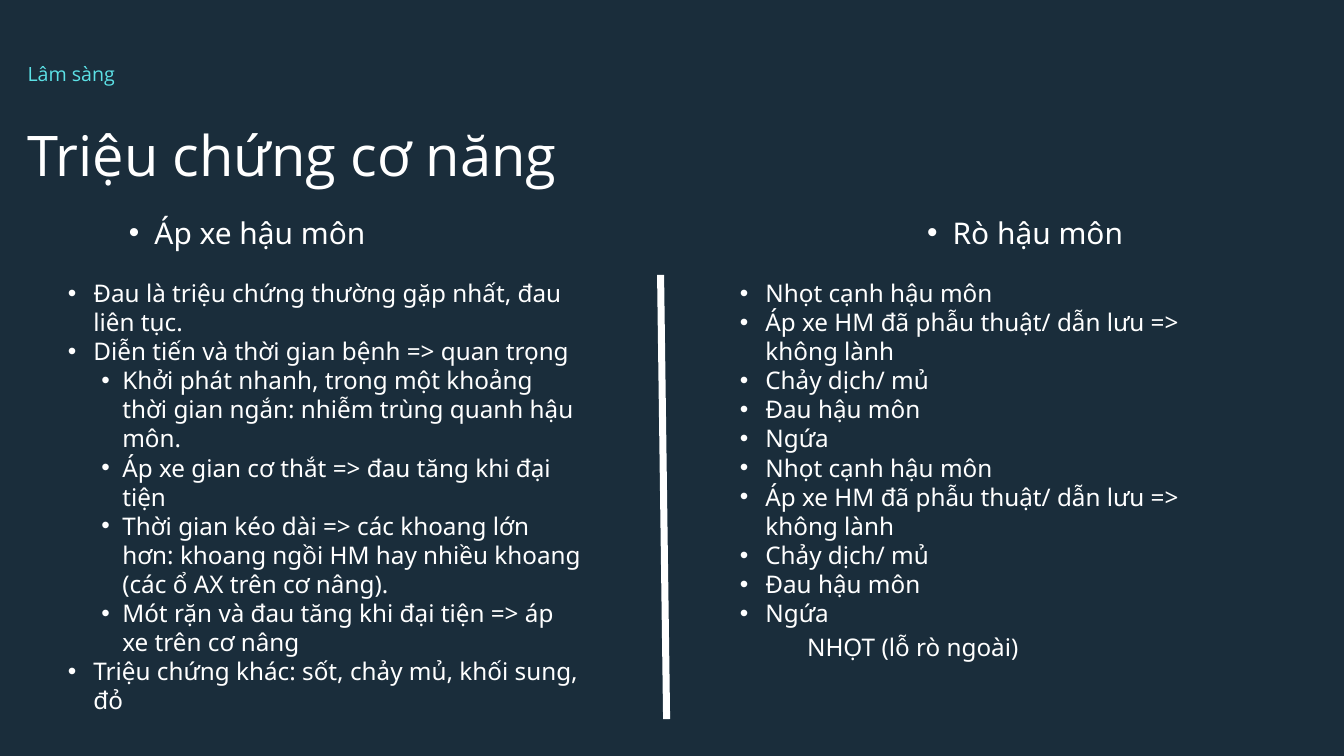
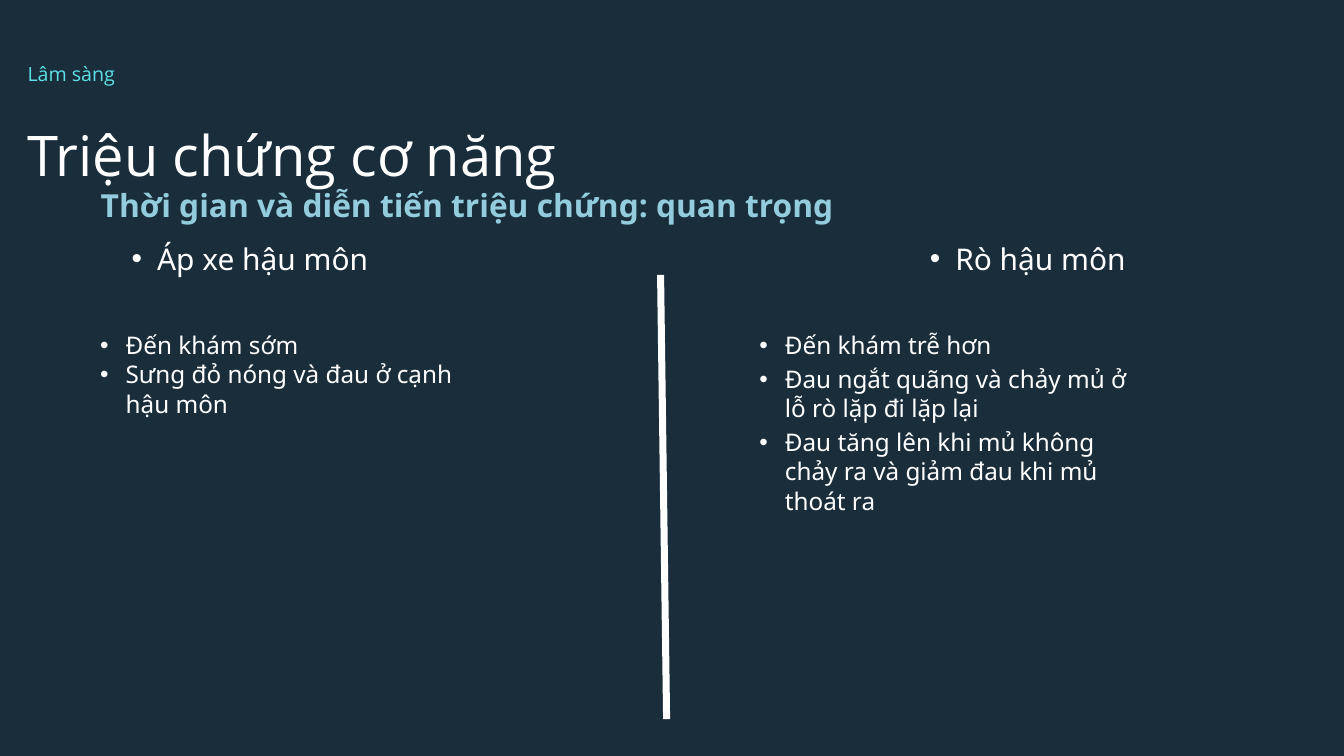
from lxml import etree
from pptx import Presentation
from pptx.dml.color import RGBColor
from pptx.enum.shapes import MSO_CONNECTOR
from pptx.enum.text import MSO_ANCHOR, MSO_AUTO_SIZE, PP_ALIGN
from pptx.oxml.ns import qn
from pptx.util import Inches, Pt

NAVY = RGBColor(0x1A, 0x2D, 0x3B)
WHITE = RGBColor(0xFF, 0xFF, 0xFF)
CYAN = RGBColor(0x5C, 0xE1, 0xE6)
SKY = RGBColor(0x93, 0xCD, 0xDD)
OPEN, NOTO = "Open Sans", "Noto Sans"
LEFT, CENTER = PP_ALIGN.LEFT, PP_ALIGN.CENTER
TOP = MSO_ANCHOR.TOP
FIXED = MSO_AUTO_SIZE.NONE
STRAIGHT = MSO_CONNECTOR.STRAIGHT
COLS, ROWS = 20, 11.25
COMPARE = 4  # layout: title, then heading and list on each side
MAIN, SUB, PLAIN = 0, 1, 2
INDENTS = {MAIN: (0.38, -0.38), SUB: (0.81, -0.31), PLAIN: (1, 0)}
GAP = 5.2

ABSCESS = [
    (MAIN, "Đau là triệu chứng thường gặp nhất, đau liên tục."),
    (MAIN, "Diễn tiến và thời gian bệnh => quan trọng"),
    (SUB, "Khởi phát nhanh, trong một khoảng thời gian ngắn: "
          "nhiễm trùng quanh hậu môn."),
    (SUB, "Áp xe gian cơ thắt => đau tăng khi đại tiện"),
    (SUB, "Thời gian kéo dài => các khoang lớn hơn: khoang ngồi HM "
          "hay nhiều khoang (các ổ AX trên cơ nâng)."),
    (SUB, "Mót rặn và đau tăng khi đại tiện => áp xe trên cơ nâng"),
    (MAIN, "Triệu chứng khác: sốt, chảy mủ, khối sung, đỏ"),
]
SIGNS = [
    (MAIN, "Nhọt cạnh hậu môn"),
    (MAIN, "Áp xe HM đã phẫu thuật/ dẫn lưu => không lành"),
    (MAIN, "Chảy dịch/ mủ"),
    (MAIN, "Đau hậu môn"),
    (MAIN, "Ngứa"),
]
FISTULA = SIGNS * 2 + [(PLAIN, "NHỌT (lỗ rò ngoài)")]
EARLY = [
    (MAIN, "Đến khám sớm"),
    (MAIN, "Sưng đỏ nóng và đau ở cạnh hậu môn"),
]
LATE = [
    (MAIN, "Đến khám trễ hơn"),
    (MAIN, "Đau ngắt quãng và chảy mủ ở lỗ rò lặp đi lặp lại"),
    (MAIN, "Đau tăng lên khi mủ không chảy ra và giảm đau khi mủ thoát ra"),
]


class Deck:
    """Holds the style and the current slide; lengths are grid cells."""

    def __init__(self):
        self.prs = Presentation()
        self.prs.slide_width = Inches(COLS)
        self.prs.slide_height = Inches(ROWS)
        self.col = self.prs.slide_width / COLS
        self.row = self.prs.slide_height / ROWS
        self.slide = None

    def scale(self, x, y, w, h):
        return [int(x * self.col), int(y * self.row),
                int(w * self.col), int(h * self.row)]

    def place(self, num, box):
        """Move a placeholder to its cells and return its text frame."""
        shape = self.slide.placeholders[num]
        shape.left, shape.top, shape.width, shape.height = self.scale(*box)
        frame = shape.text_frame
        frame.auto_size = FIXED
        frame.vertical_anchor = TOP
        return frame

    def style(self, para, face, size, color, bold=False):
        for run in para.runs:
            font = run.font
            font.name, font.size, font.bold = face, Pt(size), bold
            font.color.rgb = color

    def bullet(self, para, kind):
        props = para._p.get_or_add_pPr()
        left, hang = INDENTS[kind]
        props.set("marL", str(Inches(left)))
        props.set("indent", str(Inches(hang)))
        if kind == PLAIN:
            etree.SubElement(props, qn("a:buNone"))
        else:
            etree.SubElement(props, qn("a:buFont"), typeface="Arial")
            etree.SubElement(props, qn("a:buChar"), char="•")

    def flush(self, frame, text, size, color, lead):
        """Set one line of text without insets at a fixed line height."""
        frame.margin_left = frame.margin_right = 0
        frame.margin_top = frame.margin_bottom = 0
        frame.text = text
        para = frame.paragraphs[0]
        para.alignment = LEFT
        para.line_spacing = Pt(lead)
        self.style(para, OPEN, size, color)

    def label(self, box):
        frame = self.slide.shapes.add_textbox(*self.scale(*box)).text_frame
        frame.word_wrap = True
        return frame

    def panel(self):
        """Cover the slide in navy, behind everything else."""
        wide, high = self.prs.slide_width, self.prs.slide_height
        shapes = self.slide.shapes
        pen = shapes.build_freeform(0, 0)
        pen.add_line_segments([(wide, 0), (wide, high), (0, high)])
        shape = pen.convert_to_shape()
        shape.shadow.inherit = False
        shape.fill.solid()
        shape.fill.fore_color.rgb = NAVY
        shape.line.fill.background()
        shapes._spTree.insert(2, shape._element)

    def page(self, topic, title):
        layout = self.prs.slide_layouts[COMPARE]
        self.slide = self.prs.slides.add_slide(layout)
        self.panel()
        self.flush(self.place(0, (0.41, 1.72, 18.58, 1.03)),
                   title, 60, WHITE, 76.8)
        self.flush(self.label((0.41, 0.9, 5, 0.36)), topic, 21, CYAN, 26.9)
        self.rule(9.83, 4.09, 9.92, 10.7)

    def rule(self, *ends):
        line = self.slide.shapes.add_connector(STRAIGHT, *self.scale(*ends))
        line.line.color.rgb = WHITE
        line.line.width = Pt(7.5)
        etree.SubElement(line._element.spPr, qn("a:effectLst"))

    def note(self, text, box):
        frame = self.label(box)
        frame.text = text
        self.style(frame.paragraphs[0], NOTO, 34, SKY, True)

    def head(self, num, text, box):
        frame = self.place(num, box)
        frame.text = text
        para = frame.paragraphs[0]
        self.bullet(para, MAIN)
        para.alignment = CENTER
        para.space_before = Pt(0)
        self.style(para, NOTO, 32, WHITE)

    def items(self, num, rows, box, gap=0):
        frame = self.place(num, box)
        frame.text = "\n".join(text for _, text in rows)
        for i, (para, (kind, _)) in enumerate(zip(frame.paragraphs, rows)):
            para.level = 1 if kind == SUB else 0
            self.bullet(para, kind)
            para.alignment = LEFT
            space = GAP if kind == PLAIN else gap
            para.space_before = Pt(space if i else 0)
            self.style(para, NOTO, 26, WHITE)

    def heads(self, x, y):
        self.head(1, "Áp xe hậu môn", (x, y, 5.64, 0.55))
        self.head(3, "Rò hậu môn", (x + 11.56, y, 5.67, 0.55))


def main():
    deck = Deck()
    topic, title = "Lâm sàng", "Triệu chứng cơ năng"

    deck.page(topic, title)
    deck.heads(0.86, 3.14)
    deck.items(2, ABSCESS, (0.91, 4.09, 7.88, 6.28))
    deck.items(4, FISTULA, (10.91, 4.09, 7.23, 6.28))

    deck.page(topic, title)
    deck.heads(0.9, 3.53)
    deck.note("Thời gian và diễn tiến triệu chứng: quan trọng",
              (1.4, 2.71, 11.5, 0.67))
    deck.items(2, EARLY, (1.39, 4.87, 5.64, 4.25))
    deck.items(4, LATE, (11.2, 4.87, 5.67, 4.03), GAP)

    deck.prs.save("out.pptx")


if __name__ == "__main__":
    main()
